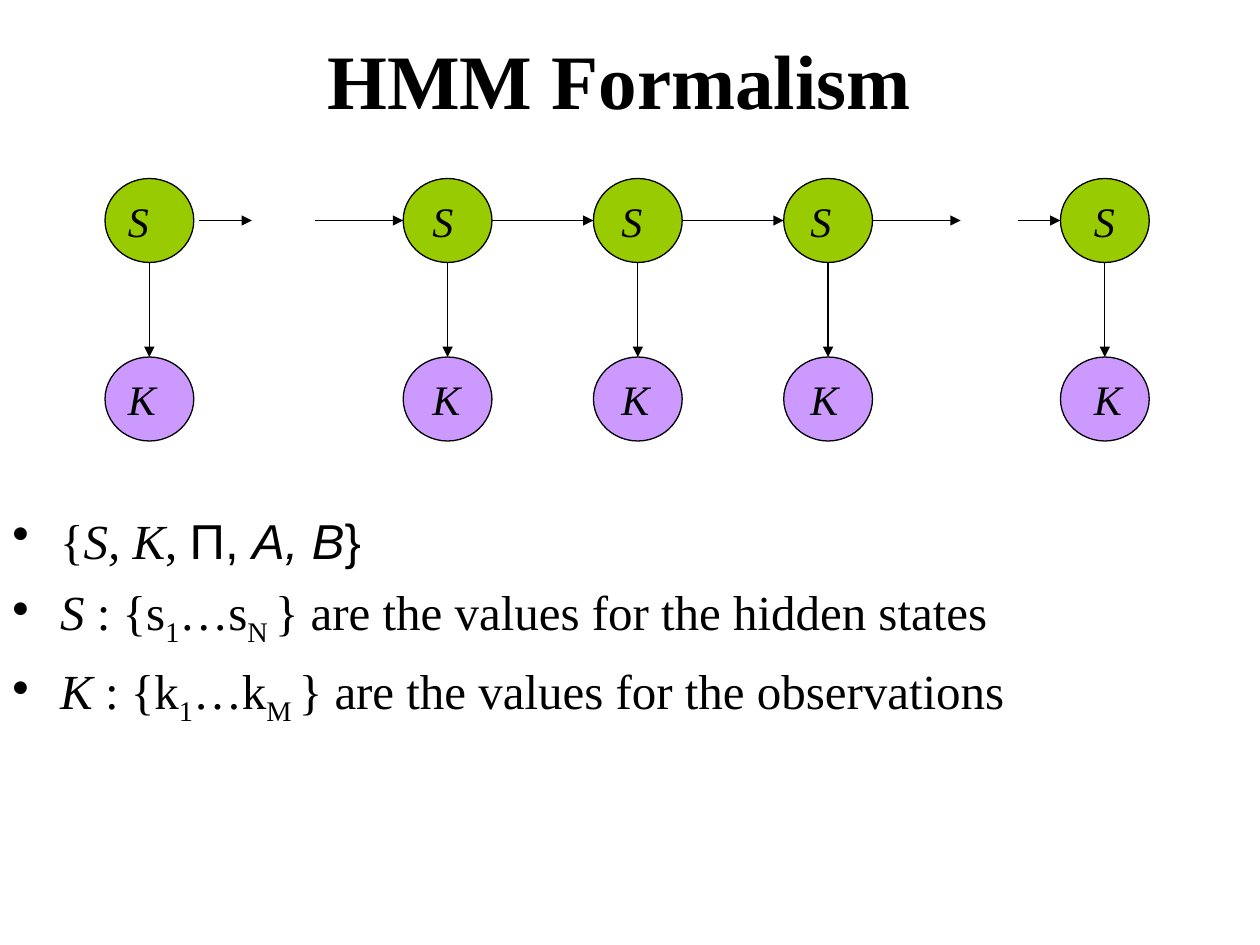
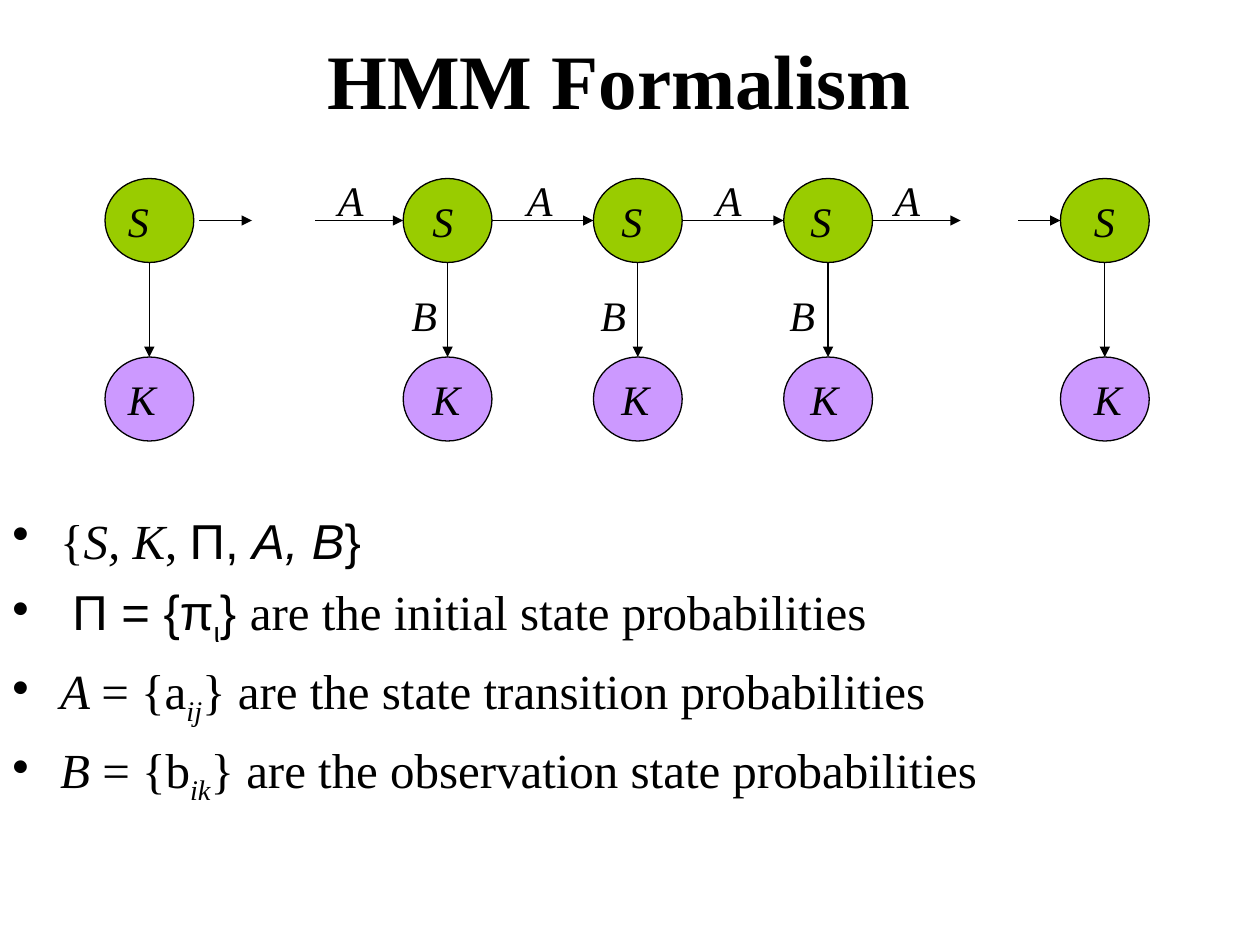
from dataclasses import dataclass

from pptx import Presentation, util as u
from pptx.dml import color
from pptx.enum import shapes, text
from pptx.oxml import ns, xmlchemy as x


@dataclass(frozen=True)
class Theme:
    ink: color.RGBColor = color.RGBColor.from_string("000000")
    state: color.RGBColor = color.RGBColor.from_string("99CC00")
    observation: color.RGBColor = color.RGBColor.from_string("CC99FF")
    serif: str = "Times New Roman"
    sans: str = "Arial"
    title: int = 44
    body: int = 28
    label: int = 24
    line: float = 0.75


theme = Theme()
prs = Presentation()
prs.slide_width, prs.slide_height = u.Inches(10), u.Inches(7.5)
COL = prs.slide_width / 120
ROW = prs.slide_height / 90


def write(s, at, paras, size, bold=False, align=text.PP_ALIGN.LEFT,
          anchor=text.MSO_ANCHOR.TOP, wrap=True, bullet=False):
    left, top, width, height = at
    sp = s.shapes.add_textbox(int(left * COL), int(top * ROW), int(width * COL), int(height * ROW))
    tf = sp.text_frame
    tf.word_wrap, tf.vertical_anchor = wrap, anchor
    for i, runs in enumerate(paras):
        p = tf.paragraphs[0] if i == 0 else tf.add_paragraph()
        p.alignment = align
        if bullet:
            p.space_before = u.Pt(7)
            pr = p._p.get_or_add_pPr()
            pr.set("marL", str(u.Inches(0.38)))
            pr.set("indent", str(u.Inches(-0.38)))
            x.OxmlElement("a:buChar")
            bu = pr.makeelement(ns.qn("a:buChar"), {"char": "•"})
            pr.append(bu)
        for words, style in runs:
            r = p.add_run()
            r.text = words
            r.font.size, r.font.bold = u.Pt(size), bold
            r.font.italic = "italic" in style
            r.font.name = theme.sans if "sans" in style else theme.serif
            r.font.color.rgb = theme.ink
            if "sub" in style:
                r.font._element.set("baseline", "-25000")


def arrow(s, x1, y1, x2, y2):
    c = s.shapes.add_connector(shapes.MSO_CONNECTOR.STRAIGHT, int(x1 * COL), int(y1 * ROW),
                               int(x2 * COL), int(y2 * ROW))
    c.line.color.rgb, c.line.width = theme.ink, u.Pt(theme.line)
    ln = c.line._get_or_add_ln()
    ln.append(ln.makeelement(ns.qn("a:tailEnd"), {"type": "triangle"}))
    c._element.spPr.append(x.OxmlElement("a:effectLst"))


NODE_W, NODE_H = 8.45, 8
STATE_ROW, OBS_ROW = 17, 34
MIDDLE = STATE_ROW + NODE_H / 2
inner = [38.4 + 18.12 * i for i in range(3)]
nodes = [10, *inner, 101]
label_cols = [11, 40, 58, 76, 103]
layers = [("S", STATE_ROW, 18, theme.state), ("K", OBS_ROW, 35, theme.observation)]
transitions = [(19, 24), (30, inner[0])]
transitions += [(a + NODE_W, b) for a, b in zip(inner, inner[1:])]
transitions += [(inner[-1] + NODE_W, 91.5), (97, 101)]

tuple_line = [("{", ""), ("S, K", "italic"), (", ", ""), ("Π, ", "sans"),
              ("Α, Β", "sans italic"), ("}", "sans")]
values = [
    tuple_line,
    [("S", "italic"), (" : {s", ""), ("1", "sub"), ("…s", ""), ("N ", "sub"),
     ("} are the values for the hidden states", "")],
    [("K", "italic"), (" : {k", ""), ("1", "sub"), ("…k", ""), ("M ", "sub"),
     ("} are the values for the observations", "")],
]
probabilities = [
    tuple_line,
    [(" ", ""), ("Π = {π", "sans"), ("ι", "sans sub"), ("} ", "sans"),
     ("are the initial state probabilities", "")],
    [("A ", "italic"), ("= {a", ""), ("ij", "italic sub"),
     ("} are the state transition probabilities", "")],
    [("B", "italic"), (" = {b", ""), ("ik", "italic sub"),
     ("} are the observation state probabilities", "")],
]
edge_labels = [("A", col, 16) for col in (31, 49, 67, 84)]
edge_labels += [("B", col, 27) for col in (38, 56, 74)]

for bullets, edges in [(values, []), (probabilities, edge_labels)]:
    s = prs.slides.add_slide(prs.slide_layouts[6])
    write(s, (8, 0, 102, 15), [[("HMM Formalism", "")]], theme.title, bold=True,
          align=text.PP_ALIGN.CENTER, anchor=text.MSO_ANCHOR.MIDDLE)
    write(s, (0, 48, 120, 42), bullets, theme.body, bullet=True)

    for col in nodes:
        for name, row, label_row, fill in layers:
            sp = s.shapes.add_shape(shapes.MSO_SHAPE.OVAL, int(col * COL), int(row * ROW),
                                    int(NODE_W * COL), int(NODE_H * ROW))
            sp.shadow.inherit = False
            sp.fill.solid()
            sp.fill.fore_color.rgb = fill
            sp.line.color.rgb, sp.line.width = theme.ink, u.Pt(theme.line)
        center = col + NODE_W / 2
        arrow(s, center, STATE_ROW + NODE_H, center, OBS_ROW)
    for start, end in transitions:
        arrow(s, start, MIDDLE, end, MIDDLE)

    labels = [(name, col, row) for col in label_cols for name, _, row, _ in layers]
    for name, col, row in labels + edges:
        write(s, (col, row, 4.8, 6), [[(name, "italic")]], theme.label, wrap=False)

prs.save("out.pptx")
